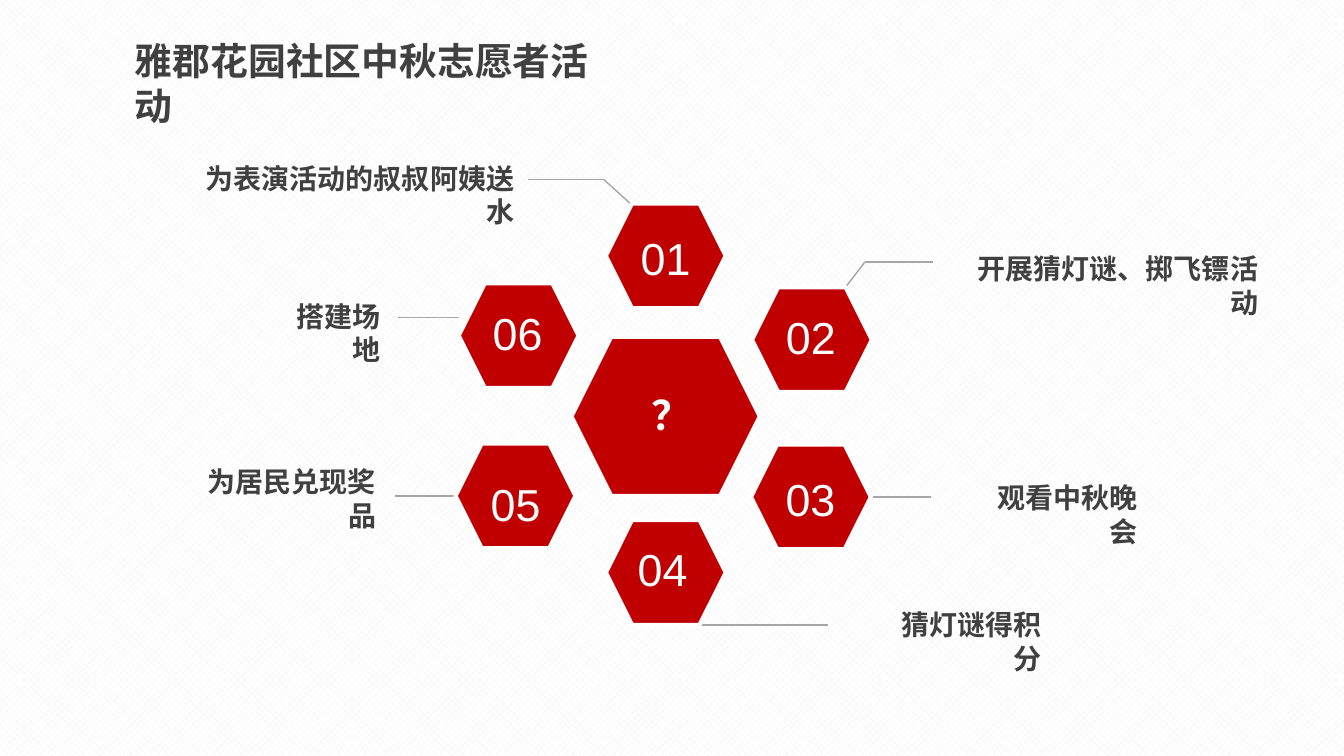
from lxml.etree import SubElement
from pptx import Presentation
from pptx.dml.color import RGBColor
from pptx.enum.dml import MSO_PATTERN
from pptx.enum.shapes import MSO_CONNECTOR, MSO_SHAPE
from pptx.enum.text import MSO_ANCHOR, MSO_AUTO_SIZE, PP_ALIGN
from pptx.oxml.ns import qn
from pptx.util import Pt

RED = RGBColor(0xC0, 0x00, 0x00)
WHITE = RGBColor(0xFF, 0xFF, 0xFF)
PALE_GREY = RGBColor(0xF2, 0xF2, 0xF2)
LINE_GREY = RGBColor(0xA6, 0xA6, 0xA6)
TEXT_GREY = RGBColor(0x40, 0x40, 0x40)
CHINESE_FONT = "Noto Sans CJK SC"

TITLE_STYLE = {"name": CHINESE_FONT, "size": Pt(27), "bold": True, "color": TEXT_GREY}
LABEL_STYLE = {"name": CHINESE_FONT, "size": Pt(20), "bold": True, "color": TEXT_GREY}
CENTER_STYLE = {"name": CHINESE_FONT, "size": Pt(29), "bold": True, "color": WHITE}
NUMBER_STYLE = {"name": "Arial", "size": Pt(32), "bold": False, "color": WHITE}

HEXAGON_SIZE = (85.7, 74.9)

# Number, hexagon corner, number box (offset, width, height), line spacing
STEPS = [
    ("02", (537.1, 205.2), (13, 12.2, 58.3, 46), 1),
    ("01", (432.7, 145.4), (11.5, 7.9, 62.6, 54), 1.2),
    ("03", (536.4, 317.5), (9.4, 7.9, 66.2, 54), 1.2),
    ("05", (325.4, 316.8), (13.7, 12.2, 58.3, 54), 1.2),
    ("06", (327.6, 202.3), (13, 12.2, 58.3, 46), 1),
    ("04", (432.7, 371.5), (11.5, 12.2, 58.3, 46), 1),
]

# Text, left, top, width
LABELS = [
    ("为表演活动的叔叔阿姨送水", 121.7, 111.6, 252.7),
    ("搭建场地", 185.8, 210.2, 92.9),
    ("为居民兑现奖品", 123.1, 328.3, 152.6),
    ("开展猜灯谜、掷飞镖活动", 672.5, 176.4, 233.3),
    ("观看中秋晚会", 686.2, 339.8, 133.2),
    ("猜灯谜得积分", 617.8, 430.6, 133.2),
]

# Points that each leader line passes through
LEADERS = [
    [(665.3, 355), (622.1, 355)],
    [(499.7, 446.4), (591.8, 446.4)],
    [(325.4, 354.2), (282.2, 354.2)],
    [(327.6, 226.8), (284.4, 226.8)],
    [(451.4, 146.5), (431.3, 128.2), (377.3, 128.2)],
    [(603.4, 205.9), (617.8, 187.2), (666.7, 187.2)],
]


class SlideBuilder:
    """Holds the current slide and its drawing style."""

    def __init__(self, slide):
        self.slide = slide
        self.line_color = LINE_GREY
        self.hexagon_color = RED

    def background(self):
        fill = self.slide.background.fill
        fill.patterned()
        fill.pattern = MSO_PATTERN.PERCENT_50
        fill.fore_color.rgb = PALE_GREY
        fill.back_color.rgb = WHITE

    def set_text(self, shape, text, style, alignment, spacing=1, insets=(7.2, 3.6)):
        frame = shape.text_frame
        horizontal, vertical = map(Pt, insets)
        frame_format = {
            "word_wrap": True, "auto_size": MSO_AUTO_SIZE.SHAPE_TO_FIT_TEXT,
            "vertical_anchor": MSO_ANCHOR.TOP,
            "margin_left": horizontal, "margin_right": horizontal,
            "margin_top": vertical, "margin_bottom": vertical,
        }
        for name, value in frame_format.items():
            setattr(frame, name, value)
        paragraph = frame.paragraphs[0]
        paragraph.alignment = alignment
        paragraph.line_spacing = spacing
        run = paragraph.add_run()
        run.text = text
        for name, value in style.items():
            if name == "color":
                run.font.color.rgb = value
            else:
                setattr(run.font, name, value)
        # East Asian characters take their typeface from a:ea
        east_asian = SubElement(run.font._element, qn("a:ea"))
        east_asian.set("typeface", style["name"])

    def title(self, text, left, top, width, height):
        shape = self.slide.shapes.title
        place = {"left": left, "top": top, "width": width, "height": height}
        for name, value in place.items():
            setattr(shape, name, Pt(value))
        self.set_text(shape, text, TITLE_STYLE, PP_ALIGN.LEFT, insets=(10, 5))

    def label(self, text, left, top, width):
        shape = self.slide.shapes.add_textbox(Pt(left), Pt(top), Pt(width), Pt(31))
        self.set_text(shape, text, LABEL_STYLE, PP_ALIGN.RIGHT)

    def hexagon(self, text, corner, size, text_box, style, spacing=1):
        shapes = self.slide.shapes.add_group_shape().shapes
        left, top = corner
        shape = shapes.add_shape(MSO_SHAPE.HEXAGON, *map(Pt, (left, top, *size)))
        shape.shadow.inherit = False
        shape.fill.solid()
        shape.fill.fore_color.rgb = self.hexagon_color
        shape.line.color.rgb = WHITE
        shape.line.width = Pt(3)
        offset_x, offset_y, width, height = text_box
        box = shapes.add_textbox(
            *map(Pt, (left + offset_x, top + offset_y, width, height)))
        self.set_text(box, text, style, PP_ALIGN.CENTER, spacing)

    def leader(self, points):
        shapes = self.slide.shapes
        if len(points) > 2:
            shapes = shapes.add_group_shape().shapes
        for start, end in zip(points, points[1:]):
            connector = shapes.add_connector(
                MSO_CONNECTOR.STRAIGHT, *map(Pt, (*start, *end)))
            connector.line.color.rgb = self.line_color
            connector.line.width = Pt(1)
            SubElement(connector._element.spPr, qn("a:effectLst"))


def main():
    presentation = Presentation()
    presentation.slide_width = Pt(960)
    presentation.slide_height = Pt(540)
    builder = SlideBuilder(presentation.slides.add_slide(presentation.slide_layouts[5]))

    # Background and title
    builder.background()
    builder.title("雅郡花园社区中秋志愿者活动", 86.4, 21.6, 370, 42.5)

    # Leader lines and their labels
    for points in LEADERS:
        builder.leader(points)
    for label in LABELS:
        builder.label(*label)

    # Ring of numbered hexagons around the question
    for number, corner, text_box, spacing in STEPS:
        builder.hexagon(number, corner, HEXAGON_SIZE, text_box, NUMBER_STYLE, spacing)
    builder.hexagon("？", (408.2, 240.5), (134.6, 113.8), (30.3, 34.5, 82.8, 42.5),
                    CENTER_STYLE)

    presentation.save("out.pptx")


if __name__ == "__main__":
    main()
